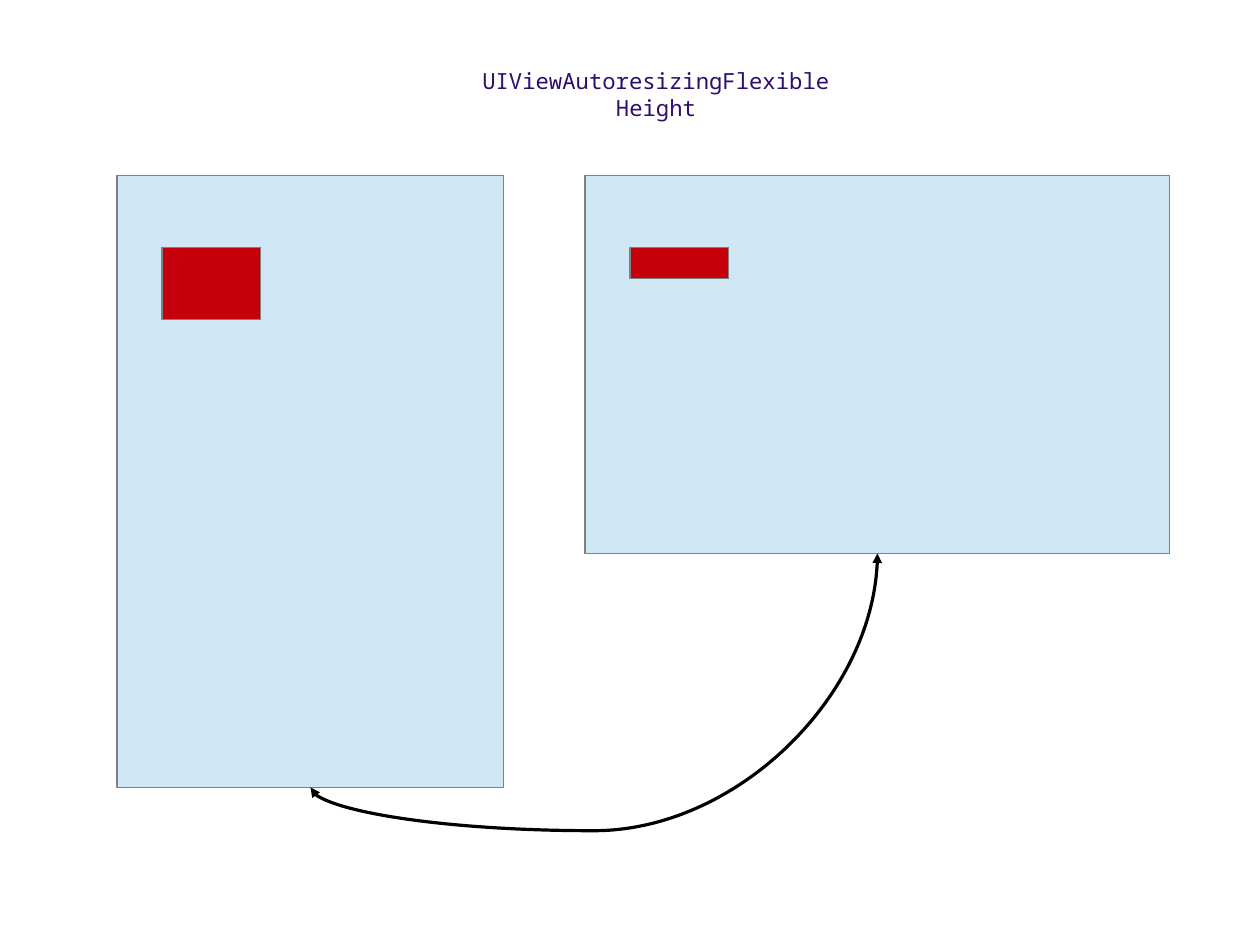
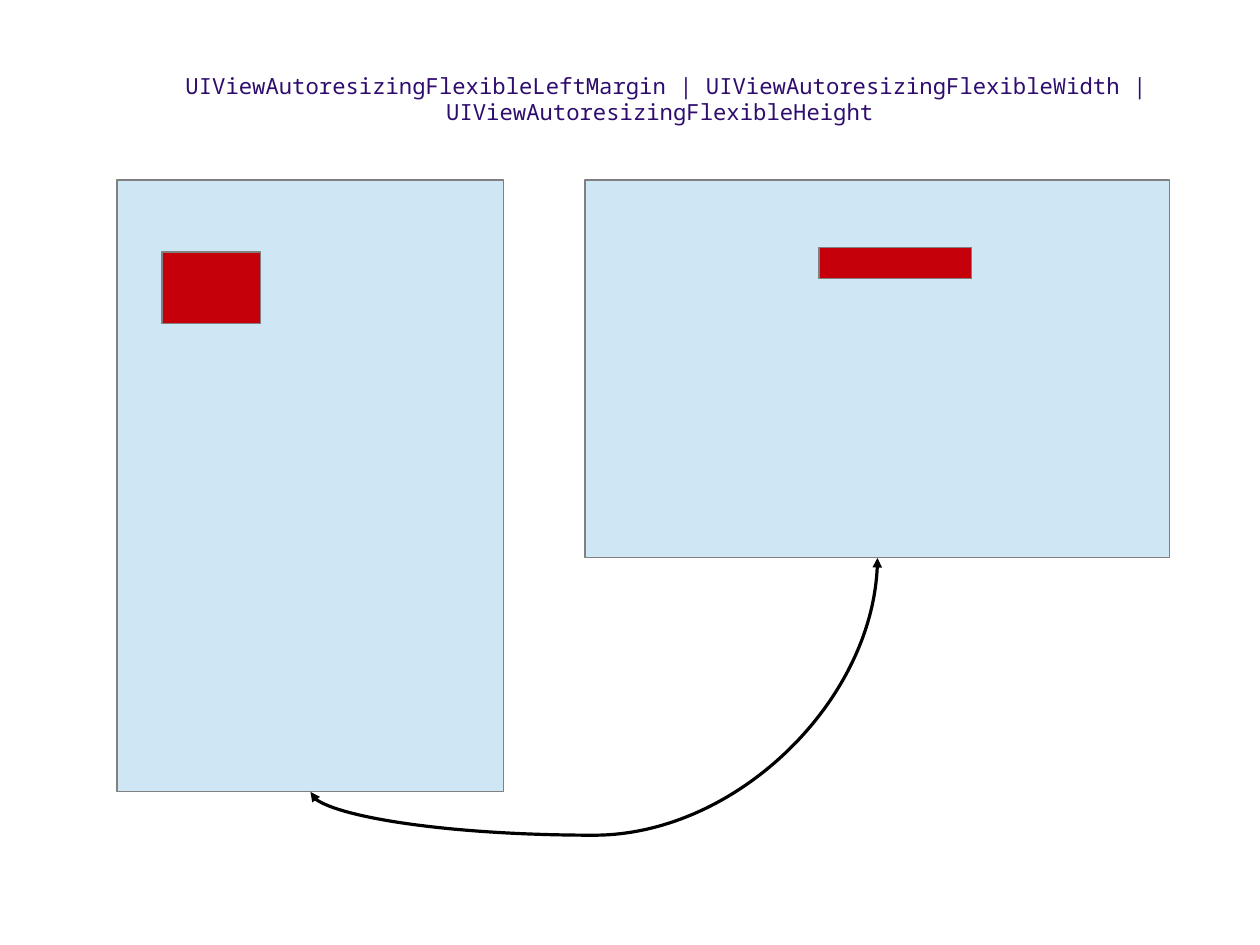
from dataclasses import dataclass

from lxml.etree import SubElement
from pptx import Presentation
from pptx.dml.color import RGBColor
from pptx.enum.shapes import MSO_CONNECTOR, MSO_SHAPE
from pptx.enum.text import MSO_ANCHOR, MSO_AUTO_SIZE, PP_ALIGN
from pptx.oxml.ns import qn
from pptx.util import Cm, Pt


@dataclass(frozen=True)
class Theme:
    title_color: RGBColor = RGBColor(0x2E, 0x0D, 0x6E)
    screen: RGBColor = RGBColor(0xCF, 0xE7, 0xF5)
    view: RGBColor = RGBColor(0xC5, 0x00, 0x0B)
    outline: RGBColor = RGBColor(0x80, 0x80, 0x80)
    arrow: RGBColor = RGBColor(0, 0, 0)
    font: str = "Noto Sans Mono"
    title_size: Pt = Pt(14)
    hairline: Pt = Pt(0)


@dataclass(frozen=True)
class Box:
    """A rectangle in grid columns and rows."""
    left: float
    top: float
    width: float
    height: float

    @property
    def middle(self):
        return self.left + self.width / 2

    @property
    def bottom(self):
        return self.top + self.height

    def lengths(self):
        return [Cm(value) for value in (self.left, self.top, self.width, self.height)]


COLUMNS, ROWS = 28, 21  # one grid cell is one centimetre
TITLE_HEIGHT = 0.92
ARROW_DIP = 0.96
VIEW_ON_PORTRAIT = (1, 1.6, 2.2, 1.6)  # offset in the screen, then size


def set_attributes(target, values):
    for name, value in values.items():
        setattr(target, name, value)


class Deck:
    def __init__(self, theme):
        self.theme = theme
        self.presentation = Presentation()
        self.presentation.slide_width = Cm(COLUMNS)
        self.presentation.slide_height = Cm(ROWS)
        self.slide = None

    def add_slide(self):
        layout = self.presentation.slide_layouts.get_by_name("Title Only")
        self.slide = self.presentation.slides.add_slide(layout)

    def title(self, text, box):
        title = self.slide.shapes.title
        set_attributes(title, dict(zip(("left", "top", "width", "height"), box.lengths())))
        frame = title.text_frame
        frame.text = text
        set_attributes(frame, {
            "word_wrap": True,
            "auto_size": MSO_AUTO_SIZE.SHAPE_TO_FIT_TEXT,
            "vertical_anchor": MSO_ANCHOR.TOP,
        })
        paragraph = frame.paragraphs[0]
        paragraph.alignment = PP_ALIGN.CENTER
        font = paragraph.runs[0].font
        set_attributes(font, {"name": self.theme.font, "size": self.theme.title_size})
        font.color.rgb = self.theme.title_color

    def rectangle(self, box, color):
        shape = self.slide.shapes.add_shape(MSO_SHAPE.RECTANGLE, *box.lengths())
        shape.shadow.inherit = False
        shape.fill.solid()
        shape.fill.fore_color.rgb = color
        shape.line.color.rgb = self.theme.outline
        shape.line.width = self.theme.hairline

    def curved_arrow(self, start, end):
        """Join the bottoms of two boxes with a curve that dips below the first."""
        span, rise = end.middle - start.middle, start.bottom - end.bottom
        connector = self.slide.shapes.add_connector(MSO_CONNECTOR.CURVE, 0, 0, 0, 0)
        # The frame is turned by 90 degrees about its centre, so its sides swap.
        turned = Box((start.middle + end.middle - rise) / 2,
                     (start.bottom + end.bottom - span) / 2, rise, span)
        set_attributes(connector, dict(zip(("left", "top", "width", "height"),
                                           turned.lengths())))
        connector.line.color.rgb = self.theme.arrow
        connector.line.width = self.theme.hairline
        properties = connector.element.spPr
        frame = properties.find(qn("a:xfrm"))
        for name, value in {"rot": "5400000", "flipH": "1", "flipV": "1"}.items():
            frame.set(name, value)
        adjustments = properties.find(qn("a:prstGeom")).get_or_add_avLst()
        SubElement(adjustments, qn("a:gd"), name="adj1",
                   fmla=f"val {round(-ARROW_DIP / rise * 100000)}")
        line = properties.find(qn("a:ln"))
        for tag in ("a:headEnd", "a:tailEnd"):
            SubElement(line, qn(tag), type="triangle")
        SubElement(properties, qn("a:effectLst"))

    def resizing_slide(self, text, title_box, top, landscape_view):
        """Show a view on a portrait screen and, resized, on a landscape one."""
        portrait, landscape = Box(2.6, top, 8.6, 13.6), Box(13, top, 13, 8.4)
        column, row, width, height = VIEW_ON_PORTRAIT
        portrait_view = Box(portrait.left + column, top + row, width, height)
        self.add_slide()
        self.title(text, title_box)
        for screen, view in ((portrait, portrait_view), (landscape, landscape_view)):
            self.rectangle(screen, self.theme.screen)
            self.rectangle(view, self.theme.view)
        self.curved_arrow(portrait, landscape)


def main():
    deck = Deck(Theme())
    deck.resizing_slide(
        "UIViewAutoresizingFlexibleHeight",
        Box(10.4, 1.37, 8.36, TITLE_HEIGHT), 3.9, Box(14, 5.5, 2.2, 0.7))
    deck.resizing_slide(
        "UIViewAutoresizingFlexibleLeftMargin | UIViewAutoresizingFlexibleWidth | "
        "UIViewAutoresizingFlexibleHeight ",
        Box(1.8, 1.47, 26.04, TITLE_HEIGHT), 4, Box(18.2, 5.5, 3.4, 0.7))
    deck.presentation.save("out.pptx")


if __name__ == "__main__":
    main()
